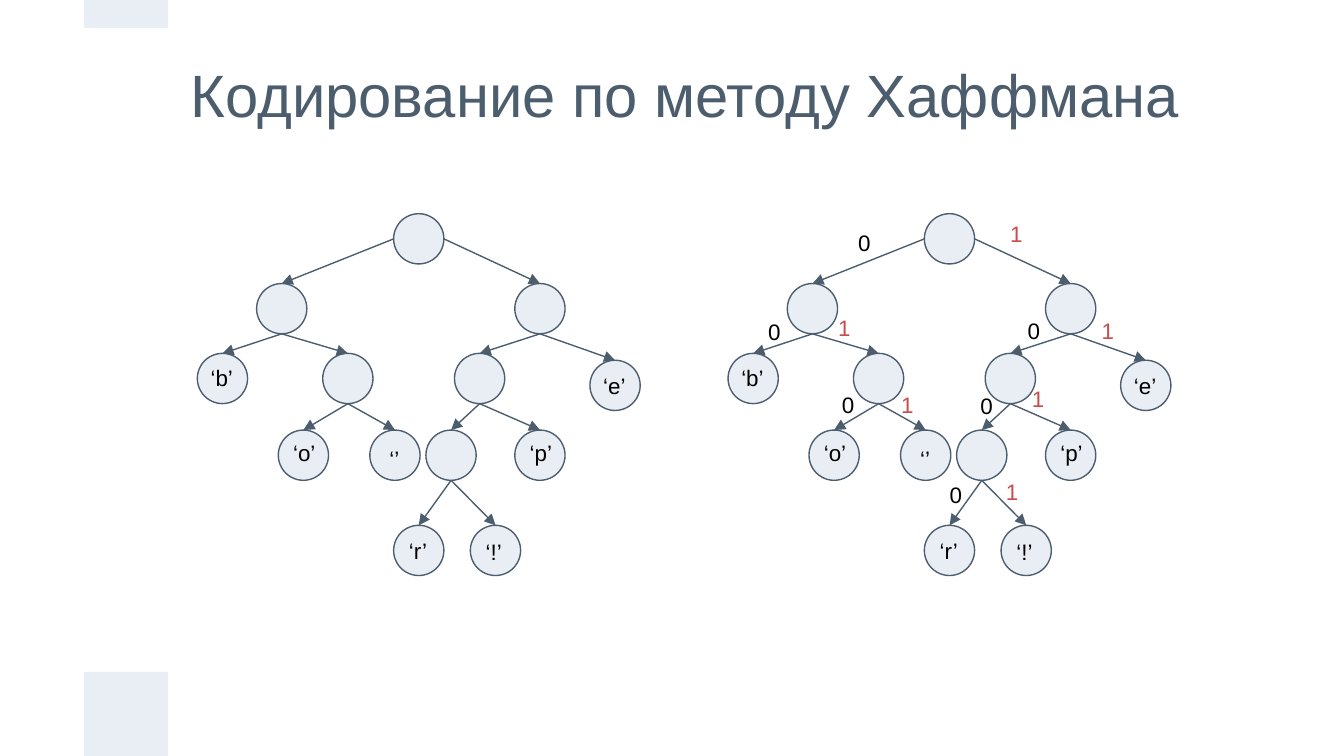
from collections import namedtuple
from dataclasses import dataclass

from lxml import etree
from pptx import Presentation
from pptx import util as u
from pptx.dml import color
from pptx.enum import shapes, text
from pptx.oxml import ns


@dataclass(frozen=True)
class Theme:
    """Colours and type sizes of the slide."""
    ink: str = "4C5D6E"
    pale: str = "E9EDF4"
    zero: str = "000000"
    one: str = "C94D4C"
    font: str = "Arial"
    title_size: int = 32
    label_size: int = 12
    line_width: float = 0.75


Box = namedtuple("Box", "left top width height")
Node = namedtuple("Node", "left top label shift", defaults=("", (0, 0)))
Edge = namedtuple("Edge", "parent child bit left top")

THEME = Theme()
DIAMETER = 0.95
INSET = 0.25

NODES = {
    "root": Node(3.71, 0),
    "0": Node(1.12, 1.32),
    "1": Node(6, 1.32),
    "00": Node(0, 2.64, "‘b’", (0, -0.05)),
    "01": Node(2.37, 2.64),
    "10": Node(4.86, 2.64),
    "11": Node(7.42, 2.77, "‘e’", (0, -0.03)),
    "010": Node(1.53, 4.09, "‘o’", (0.03, -0.08)),
    "011": Node(3.26, 4.09, "‘’", (0.12, 0.03)),
    "100": Node(4.32, 4.09),
    "101": Node(6, 4.09, "‘p’", (0.03, -0.08)),
    "1000": Node(3.71, 5.89, "‘r’", (0.04, -0.03)),
    "1001": Node(5.16, 5.89, "‘!’", (0.04, 0)),
}

EDGES = [
    Edge("root", "0", "0", 2.21, 0.05),
    Edge("root", "1", "1", 5.08, -0.13),
    Edge("0", "00", "0", 0.51, 1.73),
    Edge("0", "01", "1", 1.83, 1.65),
    Edge("1", "10", "0", 5.41, 1.7),
    Edge("1", "11", "1", 6.81, 1.7),
    Edge("01", "010", "0", 1.9, 3.1),
    Edge("01", "011", "1", 3.02, 3.1),
    Edge("10", "100", "0", 4.52, 3.12),
    Edge("10", "101", "1", 5.49, 3),
    Edge("100", "1000", "0", 3.94, 4.8),
    Edge("100", "1001", "1", 5, 4.75),
]


def rgb(value):
    """Turn a hex string into a colour."""
    return color.RGBColor.from_string(value)


def to_cm(*values):
    """Convert centimetre values to lengths."""
    return [u.Cm(value) for value in values]


def format_text(frame, words, size, tint):
    """Write one left-aligned paragraph with the slide's insets and font."""
    frame.text = words
    frame.word_wrap = True
    frame.auto_size = text.MSO_AUTO_SIZE.NONE
    frame.margin_left = frame.margin_right = u.Cm(INSET)
    frame.margin_top = frame.margin_bottom = u.Cm(INSET)
    para = frame.paragraphs[0]
    para.alignment = text.PP_ALIGN.LEFT
    for span in para.runs:
        span.font.name = THEME.font
        span.font.size = u.Pt(size)
        span.font.color.rgb = rgb(tint)


def add_label(page, box, words, tint):
    """Add a small text box."""
    label = page.shapes.add_textbox(*to_cm(*box))
    format_text(label.text_frame, words, THEME.label_size, tint)


def add_filled(page, kind, box):
    """Add a pale shape without outline or shadow."""
    shape = page.shapes.add_shape(kind, *to_cm(*box))
    shape.shadow.inherit = False
    shape.fill.solid()
    shape.fill.fore_color.rgb = rgb(THEME.pale)
    shape.line.fill.background()
    return shape


def add_arrow(page, start, end):
    """Add a thin arrow between two points."""
    arrow = page.shapes.add_connector(
        shapes.MSO_CONNECTOR.STRAIGHT, *to_cm(*start, *end))
    arrow.line.color.rgb = rgb(THEME.ink)
    arrow.line.width = u.Pt(THEME.line_width)
    tail = etree.SubElement(arrow.line._get_or_add_ln(), ns.qn("a:tailEnd"))
    tail.set("type", "triangle")
    etree.SubElement(arrow._element.spPr, ns.qn("a:effectLst"))


def add_side_bars(page, box):
    """Place the pale bars at the top and bottom of a column."""
    top_height, bottom_height = 0.53, box.width
    bottom = box.top + box.height - bottom_height
    for top, height in ((box.top, top_height), (bottom, bottom_height)):
        add_filled(page, shapes.MSO_SHAPE.RECTANGLE,
                   Box(box.left, top, box.width, height))


def add_title(page, box):
    """Place the slide title."""
    title = page.shapes.title
    title.left, title.top, title.width, title.height = to_cm(*box)
    format_text(title.text_frame, "Кодирование по методу Хаффмана",
                THEME.title_size, THEME.ink)
    title.text_frame.vertical_anchor = text.MSO_ANCHOR.MIDDLE


def add_tree(page, box, show_bits):
    """Draw the code tree, with bits beside its edges if asked."""
    radius = DIAMETER / 2
    for node in NODES.values():
        circle = add_filled(
            page, shapes.MSO_SHAPE.OVAL,
            Box(box.left + node.left, box.top + node.top, DIAMETER, DIAMETER))
        circle.line.color.rgb = rgb(THEME.ink)
        circle.line.width = u.Pt(THEME.line_width)
    for edge in EDGES:
        parent, child = NODES[edge.parent], NODES[edge.child]
        start = [box.left + parent.left + radius,
                 box.top + parent.top + DIAMETER]
        if edge.parent == "root":
            start[0] += radius if edge.bit == "1" else -radius
            start[1] -= radius
        end = box.left + child.left + radius, box.top + child.top
        add_arrow(page, start, end)
        if show_bits:
            tint = THEME.one if edge.bit == "1" else THEME.zero
            add_label(page, Box(box.left + edge.left, box.top + edge.top,
                                1.24, 0.84), edge.bit, tint)
    for node in NODES.values():
        if node.label:
            across, down = node.shift
            add_label(page, Box(box.left + node.left + across,
                                box.top + node.top + down, 1.02, DIAMETER),
                      node.label, THEME.zero)


def main():
    """Build and save the deck."""
    deck = Presentation()
    deck.slide_width, deck.slide_height = to_cm(25.4, 14.29)
    page = deck.slides.add_slide(deck.slide_layouts[5])
    add_side_bars(page, Box(1.59, 0, 1.59, 14.29))
    add_title(page, Box(3.35, 0.18, 20.42, 3.18))
    for left, show_bits in ((3.73, False), (13.76, True)):
        add_tree(page, Box(left, 4.04, 8.37, 6.84), show_bits)
    deck.save("out.pptx")


if __name__ == "__main__":
    main()
